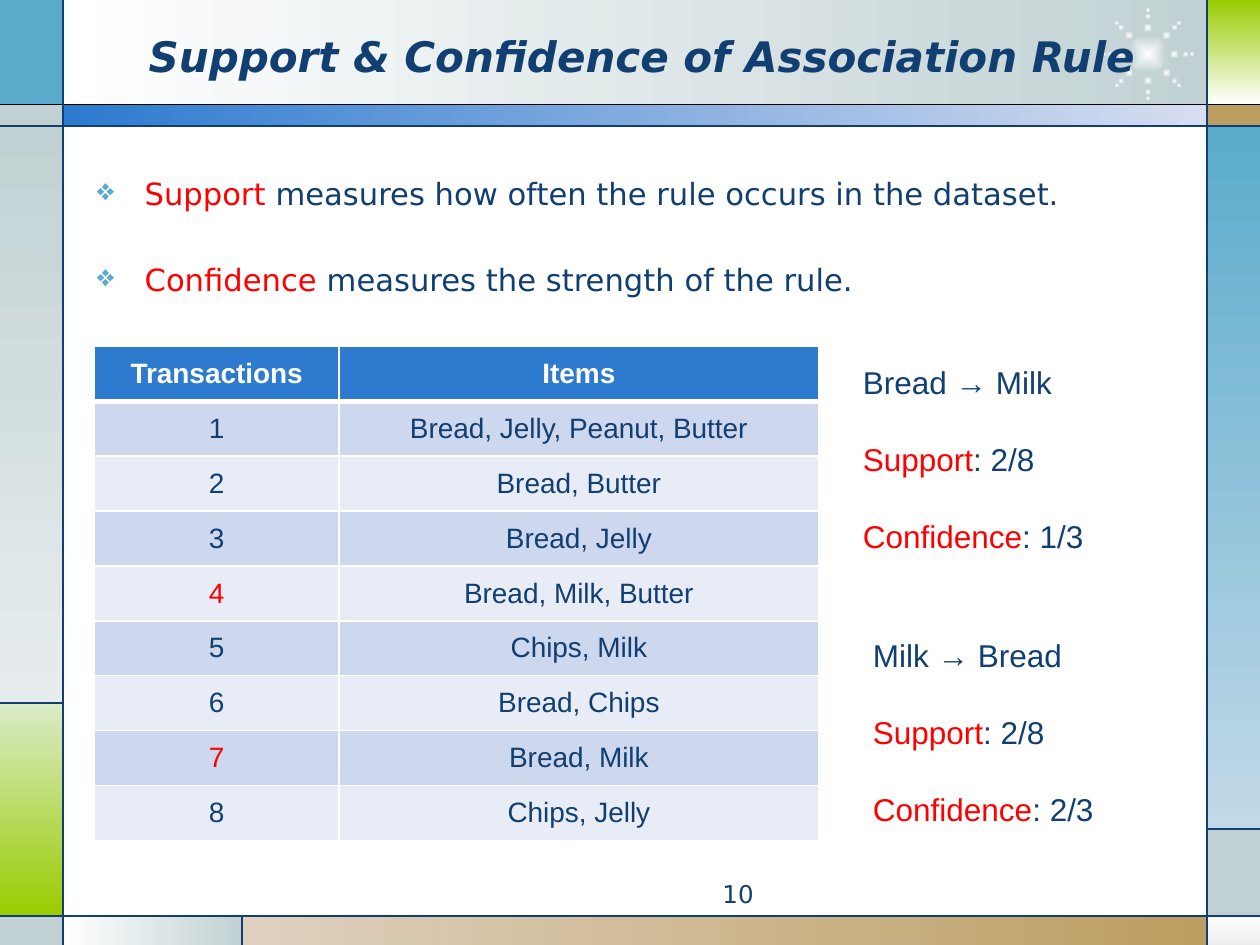
import math
from dataclasses import dataclass

import pptx
import pptx.dml.color
import pptx.enum.shapes
import pptx.enum.text
import pptx.oxml
import pptx.oxml.ns
import pptx.util
from lxml import etree
from pptx.util import Inches

ALIGN = pptx.enum.text.PP_ALIGN
ANCHOR = pptx.enum.text.MSO_ANCHOR
SHAPE = pptx.enum.shapes.MSO_SHAPE
STRAIGHT = pptx.enum.shapes.MSO_CONNECTOR.STRAIGHT


@dataclass(frozen=True)
class Theme:
    """Colours, fonts and type sizes of the deck."""
    navy: str = "113F71"
    red: str = "FF0000"
    white: str = "FFFFFF"
    black: str = "000000"
    sky: str = "5AABCC"
    pale_sky: str = "C2D9E7"
    mist: str = "C1D1D3"
    pale_mist: str = "E7EDEE"
    lime: str = "99CC00"
    pale_lime: str = "DBEBC9"
    tan: str = "BD9E61"
    pale_tan: str = "DED1BF"
    grey: str = "EDEDED"
    blue: str = "2D7ACF"
    pale_blue: str = "D7DEF0"
    odd_row: str = "CDD7ED"
    even_row: str = "E8ECF6"
    display_font: str = "DejaVu Sans"
    text_font: str = "Arial"
    title_size: float = 24
    definition_size: float = 17.5
    rule_size: float = 18
    table_size: float = 16
    number_size: float = 14


@dataclass(frozen=True)
class Box:
    """A region of the slide in inches."""
    left: float
    top: float
    width: float
    height: float

    def inches(self):
        """Return the region as four lengths."""
        return [Inches(side) for side in (self.left, self.top, self.width, self.height)]


THEME = Theme()
RIGHT, DOWN = 0, 270


def rgb(colour):
    """Turn a hex string into a colour."""
    return pptx.dml.color.RGBColor.from_string(colour)


def style_font(font, name, size, colour, bold=False, italic=False):
    """Set the type of a paragraph."""
    font.name, font.size = name, pptx.util.Pt(size)
    font.bold, font.italic = bold, italic
    font.color.rgb = rgb(colour)


def add_panel(slide, box, colours, angle=RIGHT, kind=SHAPE.RECTANGLE):
    """Add an unlined shape with a plain fill or a two-colour gradient."""
    panel = slide.shapes.add_shape(kind, *box.inches())
    panel.shadow.inherit = False
    panel.line.fill.background()
    if len(colours) == 1:
        panel.fill.solid()
        panel.fill.fore_color.rgb = rgb(colours[0])
    else:
        panel.fill.gradient()
        panel.fill.gradient_angle = angle
        for stop, colour in zip(panel.fill.gradient_stops, colours):
            stop.color.rgb = rgb(colour)
    return panel


def add_rule_line(slide, start, end, colour):
    """Add a thin line without a shadow."""
    line = slide.shapes.add_connector(STRAIGHT, *[Inches(part) for part in start + end])
    line.line.color.rgb = rgb(colour)
    line.line.width = pptx.util.Pt(0.75)
    etree.SubElement(line.element.spPr, pptx.oxml.ns.qn("a:effectLst"))


def add_frame(slide, box):
    """Surround the slide with coloured panels and dividing lines."""
    t = THEME
    right, bottom = box.left + box.width, box.top + box.height
    inner_left, inner_right = box.left + 0.5, right - 0.42
    band_top, band_bottom, foot = box.top + 0.83, box.top + 1, bottom - 0.23
    left_split, right_split, foot_split = box.top + 5.58, box.top + 6.58, box.left + 1.92
    panels = [
        (inner_left, box.top, inner_right, band_top, (t.white, t.mist), RIGHT),
        (box.left, box.top, inner_left, band_top, (t.sky,), RIGHT),
        (box.left, band_top, inner_left, band_bottom, (t.mist,), RIGHT),
        (box.left, band_bottom, inner_left, left_split, (t.mist, t.pale_mist), DOWN),
        (box.left, left_split, inner_left, foot, (t.pale_lime, t.lime), DOWN),
        (box.left, foot, inner_left, bottom, (t.mist,), RIGHT),
        (inner_left, foot, foot_split, bottom, (t.white, t.mist), RIGHT),
        (foot_split, foot, inner_right, bottom, (t.pale_tan, t.tan), RIGHT),
        (inner_right, foot, right, bottom, (t.white, t.grey), DOWN),
        (inner_right, right_split, right, foot, (t.mist,), RIGHT),
        (inner_right, band_bottom, right, right_split, (t.sky, t.pale_sky), DOWN),
        (inner_right, band_top, right, band_bottom, (t.tan,), RIGHT),
        (inner_right, box.top, right, band_top, (t.lime, t.white), DOWN),
        (inner_left, band_top, inner_right, band_bottom, (t.blue, t.pale_blue), RIGHT),
    ]
    for x1, y1, x2, y2, colours, angle in panels:
        add_panel(slide, Box(x1, y1, x2 - x1, y2 - y1), colours, angle)
    add_starburst(slide, Box(8.74, 0.06, 0.74, 0.74))
    for y, colour in ((band_top, t.black), (band_bottom, t.navy), (foot, t.navy)):
        add_rule_line(slide, (box.left, y), (right, y), colour)
    for x in (inner_left, inner_right):
        add_rule_line(slide, (x, box.top), (x, bottom), t.navy)
    add_rule_line(slide, (inner_left, left_split), (box.left, left_split), t.navy)
    add_rule_line(slide, (foot_split, foot), (foot_split, bottom), t.navy)
    add_rule_line(slide, (inner_right, right_split), (right, right_split), t.navy)


def add_starburst(slide, box):
    """Draw a glowing centre with eight rays of shrinking dots."""
    centre_x, centre_y = box.left + box.width / 2, box.top + box.height / 2
    dots = [(0, 0, 0.3)]
    for ray in range(8):
        angle = ray * math.pi / 4
        for radius, size in ((0.21, 0.07), (0.3, 0.05), (0.35, 0.04)):
            dots.append((radius * math.cos(angle), radius * math.sin(angle), size))
    for x, y, size in dots:
        place = Box(centre_x + x - size / 2, centre_y + y - size / 2, size, size)
        dot = add_panel(slide, place, (THEME.white, THEME.mist), kind=SHAPE.OVAL)
        direction = dot.element.spPr.find(".//" + pptx.oxml.ns.qn("a:lin"))
        glow = pptx.oxml.parse_xml(
            f'<a:path {pptx.oxml.ns.nsdecls("a")} path="shape">'
            '<a:fillToRect l="50000" t="50000" r="50000" b="50000"/></a:path>')
        direction.getparent().replace(direction, glow)


def place_title(slide, box, wording):
    """Move the title placeholder into its box, in front of the frame."""
    title = slide.shapes.title
    title.left, title.top, title.width, title.height = box.inches()
    title.element.getparent().append(title.element)
    frame = title.text_frame
    frame.text = wording
    frame.word_wrap = True
    frame.auto_size = pptx.enum.text.MSO_AUTO_SIZE.NONE
    frame.vertical_anchor = ANCHOR.MIDDLE
    heading = frame.paragraphs[0]
    heading.alignment = ALIGN.LEFT
    style_font(heading.font, THEME.display_font, THEME.title_size, THEME.navy, True, True)


def add_lines(slide, box, lines, font, size, gap, wrap=True):
    """Add paragraphs that each open with a red term, and return them."""
    frame = slide.shapes.add_textbox(*box.inches()).text_frame
    frame.word_wrap = wrap
    for index, (term, rest) in enumerate(lines):
        line = frame.paragraphs[0] if index == 0 else frame.add_paragraph()
        style_font(line.font, font, size, THEME.navy)
        if index:
            line.space_before = pptx.util.Pt(gap)
        if term:
            key = line.add_run()
            key.text = term
            key.font.color.rgb = rgb(THEME.red)
        line.add_run().text = rest
    return frame.paragraphs


def add_definitions(slide, box, definitions):
    """List the defined terms with diamond bullets."""
    lines = add_lines(slide, box, definitions, THEME.display_font, THEME.definition_size, 28)
    lines[0].space_before = pptx.util.Pt(3.5)
    for line in lines:
        line.alignment = ALIGN.JUSTIFY
        properties = line._p.get_or_add_pPr()
        properties.set("marL", str(Inches(0.38)))
        properties.set("indent", str(-Inches(0.38)))
        ns = pptx.oxml.ns.nsdecls("a")
        bullet = (f'<a:buClr {ns}><a:srgbClr val="{THEME.sky}"/></a:buClr>',
                  f'<a:buChar {ns} char="❖"/>')
        at = properties.index(properties.find(pptx.oxml.ns.qn("a:defRPr")))
        for offset, part in enumerate(bullet):
            properties.insert(at + offset, pptx.oxml.parse_xml(part))


def border_cell(cell, top, bottom):
    """Draw white cell borders with the given top and bottom widths."""
    properties = cell._tc.get_or_add_tcPr()
    for side, width in (("L", 1), ("R", 1), ("T", top), ("B", bottom)):
        properties.append(pptx.oxml.parse_xml(
            f'<a:ln{side} {pptx.oxml.ns.nsdecls("a")} w="{pptx.util.Pt(width)}">'
            f'<a:solidFill><a:srgbClr val="{THEME.white}"/></a:solidFill></a:ln{side}>'))


def add_transactions(slide, box, baskets, matching):
    """Tabulate the numbered baskets and mark the matching numbers in red."""
    rows = [("Transactions", "Items")]
    rows += [(str(number), items) for number, items in enumerate(baskets, 1)]
    table = slide.shapes.add_table(len(rows), 2, *box.inches()).table
    table.columns[0].width = Inches(1.94)
    table.columns[1].width = Inches(box.width - 1.94)
    for number, row in enumerate(rows):
        table.rows[number].height = Inches(box.height / len(rows))
        header = number == 0
        fill = THEME.blue if header else THEME.odd_row if number % 2 else THEME.even_row
        for column, wording in enumerate(row):
            cell = table.cell(number, column)
            border_cell(cell, 3 if number == 1 else 1, 3 if header else 1)
            cell.fill.solid()
            cell.fill.fore_color.rgb = rgb(fill)
            cell.vertical_anchor = ANCHOR.MIDDLE
            cell.text = wording
            entry = cell.text_frame.paragraphs[0]
            entry.alignment = ALIGN.CENTER
            marked = column == 0 and number in matching
            colour = THEME.white if header else THEME.red if marked else THEME.navy
            style_font(entry.font, THEME.text_font, THEME.table_size, colour, header)


def add_measures(slide, box, rule, support, confidence):
    """State a rule with its support and confidence."""
    lines = [("", rule), ("Support", f": {support}"), ("Confidence", f": {confidence}")]
    add_lines(slide, box, lines, THEME.text_font, THEME.rule_size, 22.4, wrap=False)


def add_page_number(slide, box, number):
    """Write the page number at the right of its box."""
    page, = add_lines(slide, box, [("", number)], THEME.display_font, THEME.number_size, 0)
    page.alignment = ALIGN.RIGHT


def main():
    """Build and save the slide."""
    deck = pptx.Presentation()
    deck.slide_width, deck.slide_height = Inches(10), Inches(7.5)
    slide = deck.slides.add_slide(deck.slide_layouts[5])
    add_frame(slide, Box(0, 0, 10, 7.5))
    place_title(slide, Box(1.08, 0.13, 8.58, 0.62), "Support & Confidence of Association Rule")
    add_definitions(slide, Box(0.67, 1.34, 8.77, 1.16), [
        ("Support", " measures how often the rule occurs in the dataset."),
        ("Confidence", " measures the strength of the rule.")])
    add_page_number(slide, Box(3.75, 6.93, 2.33, 0.27), "10")
    add_transactions(slide, Box(0.75, 2.75, 5.75, 3.92), [
        "Bread, Jelly, Peanut, Butter", "Bread, Butter", "Bread, Jelly",
        "Bread, Milk, Butter", "Chips, Milk", "Bread, Chips", "Bread, Milk",
        "Chips, Jelly"], matching=(4, 7))
    add_measures(slide, Box(6.75, 2.83, 1.97, 1.62), "Bread → Milk", "2/8", "1/3")
    add_measures(slide, Box(6.83, 5, 1.97, 1.62), "Milk → Bread", "2/8", "2/3")
    deck.save("out.pptx")


if __name__ == "__main__":
    main()
